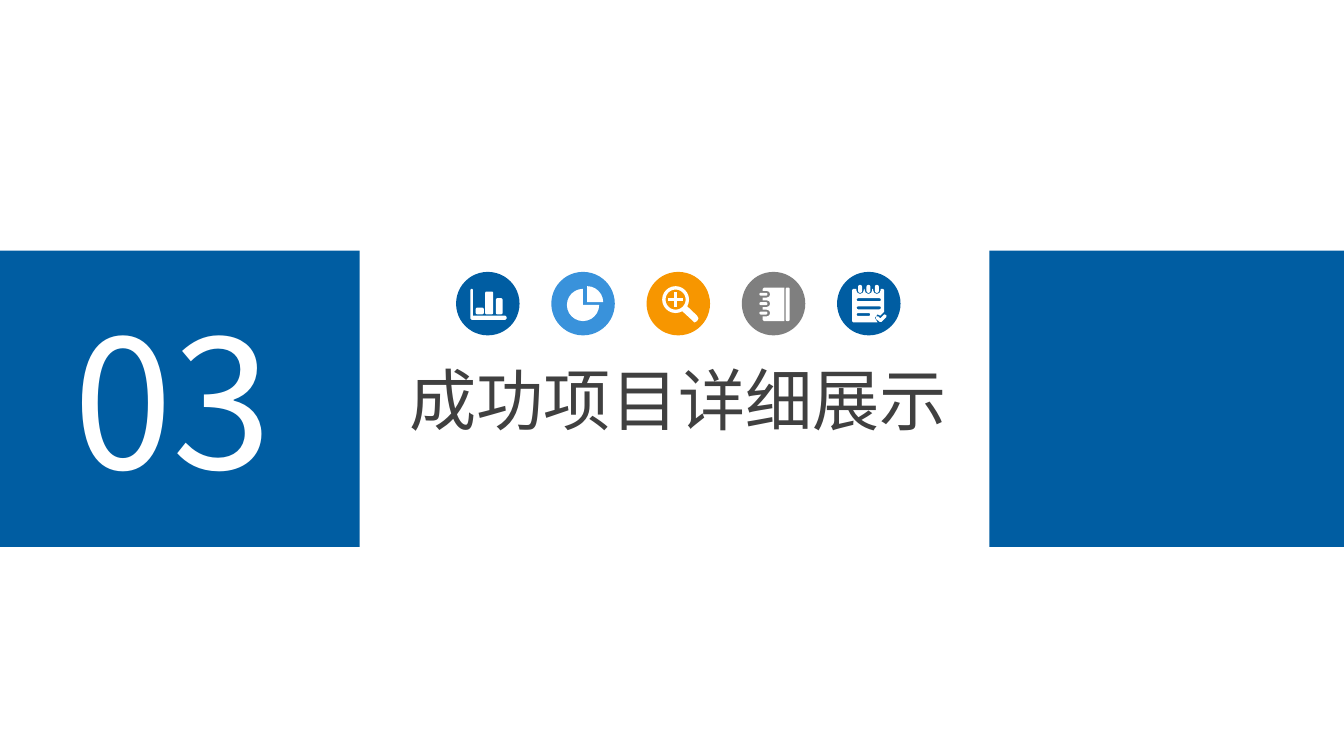
from math import cos, radians, sin

from lxml import etree
from pptx import Presentation, util as u
from pptx.dml.color import RGBColor
from pptx.enum import shapes, text
from pptx.oxml.ns import qn

BLUE, SKY, ORANGE, GRAY = "005DA2", "3992DB", "F79600", "7F7F7F"
WHITE, INK = "FFFFFF", "404040"
ICON_UNIT = 0.0254  # cm per unit of the icon outlines


def rgb(value):
    """Turn a hex string into a colour."""
    return RGBColor.from_string(value)


def arc(x, y, radius, start=0, end=360):
    """Return points along an arc, angles in degrees clockwise from the right."""
    steps = round(abs(end - start) / (15 if radius > 5 else 45))
    angles = [radians(start + (end - start) * i / steps) for i in range(steps + 1)]
    return [(x + radius * cos(a), y + radius * sin(a)) for a in angles]


def bar(x, y, width, height, radius=1):
    """Return the outline of a round-cornered bar."""
    right, bottom = x + width - radius, y + height - radius
    corners = [(x + radius, y + radius, 180), (right, y + radius, 270),
               (right, bottom, 0), (x + radius, bottom, 90)]
    return [p for cx, cy, a in corners for p in arc(cx, cy, radius, a, a + 90)]


def bar_chart():
    """Outline an axis with three columns."""
    axis = [(-13, -10), (-12.5, -11), (-11.5, -11), (-11, -10), (-11, 9), (13, 9),
            (14, 10), (14, 11), (13, 12), (-12, 12), (-13, 11)]
    return [axis, bar(-9, 3, 6, 5), bar(-2, -9, 6, 17), bar(6, -4, 5, 12)]


def pie_chart():
    """Outline a pie with one quarter pulled out."""
    return [[(3, -1)] + arc(3, -1, 12, -90, 0), [(0, 1)] + arc(0, 1, 12, 0, 270)]


def magnifier():
    """Outline a lens with a handle and a plus sign."""
    x, y, arm, half = -2, -3, 5.5, 1
    handle = [(14, 9), (15, 11), (14, 13), (12, 14), (11, 13)]
    plus = [(x - half, y - arm), (x + half, y - arm), (x + half, y - half),
            (x + arm, y - half), (x + arm, y + half), (x + half, y + half),
            (x + half, y + arm), (x - half, y + arm), (x - half, y + half),
            (x - arm, y + half), (x - arm, y - half), (x - half, y - half)]
    return [arc(x, y, 10, 60, 390) + handle, arc(x, y, 7.5), plus]


def notebook():
    """Outline a ring-bound book."""
    rings = (-7, 0, 7)
    page = [(-7, -12), (8, -12), (8, 13), (-7, 13), (-8, 12)]
    for y in reversed(rings):
        page += [(-8, y + 2.5), *arc(-5, y, 2.5, 90, -90), (-8, y - 2.5)]
    return [page + [(-8, -11)], bar(9, -12, 3, 25),
            *[bar(-10.5, y - 1.1, 6, 2.2) for y in rings]]


def checklist():
    """Outline a notepad with written lines and a tick."""
    rings = (-6.5, -0.25, 6)
    page = [(-12.5, -10), (-11.5, -11)]
    for x in rings:
        page += [(x - 2.8, -11), *arc(x, -10, 2.8, 180, 0), (x + 2.8, -11)]
    page += [(10.5, -11), (11.5, -10), (11.5, 6), (8.5, 9), (6.5, 8), (4.5, 10.5),
             (6.5, 14), (-11.5, 14), (-12.5, 13)]
    tick = [(13, 10), (9.5, 13.5), (8, 13.5), (5.5, 11.5), (5.5, 9.5), (7, 9.5),
            (8.5, 11), (11.5, 8), (13, 8.5)]
    lines = [bar(-9, y, w, 2.2) for y, w in ((-4, 18), (2, 18), (7, 10))]
    return [page, *lines, tick, *[bar(x - 1.5, -14, 3, 6, 1.4) for x in rings]]


class Deck:
    """Hold the style and the current slide."""

    font = "Noto Sans CJK SC"

    def __init__(self, width, height):
        """Start a deck with one blank slide."""
        self.file = Presentation()
        self.file.slide_width, self.file.slide_height = u.Cm(width), u.Cm(height)
        self.slide = self.file.slides.add_slide(self.file.slide_layouts[6])

    def paint(self, part, colour):
        """Give a shape a flat fill without line or shadow."""
        part.shadow.inherit = False
        part.fill.solid()
        part.fill.fore_color.rgb = rgb(colour)
        part.line.fill.background()

    def shape(self, kind, box, colour, parent=None):
        """Add a filled preset shape."""
        parent = self.slide.shapes if parent is None else parent
        self.paint(parent.add_shape(kind, *map(u.Cm, box)), colour)

    def icon(self, x, y, diameter, colour, outlines):
        """Add a disc with a white pictogram, centred at x, y."""
        parts = self.slide.shapes.add_group_shape().shapes
        corner = (x - diameter / 2, y - diameter / 2, diameter, diameter)
        self.shape(shapes.MSO_SHAPE.OVAL, corner, colour, parts)
        placed = [[(u.Cm(x + px * ICON_UNIT), u.Cm(y + py * ICON_UNIT))
                   for px, py in outline] for outline in outlines]
        pen = parts.build_freeform(*placed[0][0])
        for i, outline in enumerate(placed):
            if i:
                pen.move_to(*outline[0])
            pen.add_line_segments(outline[1:], close=True)
        self.paint(pen.convert_to_shape(), WHITE)

    def label(self, words, box, size, colour):
        """Add one line of text."""
        frame = self.slide.shapes.add_textbox(*map(u.Cm, box)).text_frame
        frame.word_wrap = False
        frame.auto_size = text.MSO_AUTO_SIZE.SHAPE_TO_FIT_TEXT
        run = frame.paragraphs[0].add_run()
        run.text = words
        for key, value in {"size": u.Pt(size), "name": self.font}.items():
            setattr(run.font, key, value)
        run.font.color.rgb = rgb(colour)
        east_asian = etree.SubElement(run._r.get_or_add_rPr(), qn("a:ea"))
        east_asian.set("typeface", self.font)


deck = Deck(25.4, 14.29)
for band_left in (0, 18.7):
    deck.shape(shapes.MSO_SHAPE.RECTANGLE, (band_left, 4.74, 6.8, 5.6), BLUE)
deck.label("03", (1.14, 5.36, 4.52, 4.37), 96, WHITE)
deck.label("成功项目详细展示", (7.49, 6.65, 10.77, 1.8), 36, INK)

icons = [(BLUE, bar_chart), (SKY, pie_chart), (ORANGE, magnifier),
         (GRAY, notebook), (BLUE, checklist)]
for place, (disc_colour, pictogram) in enumerate(icons):
    deck.icon(9.22 + 1.8 * place, 5.74, 1.2, disc_colour, pictogram())

deck.file.save("out.pptx")
